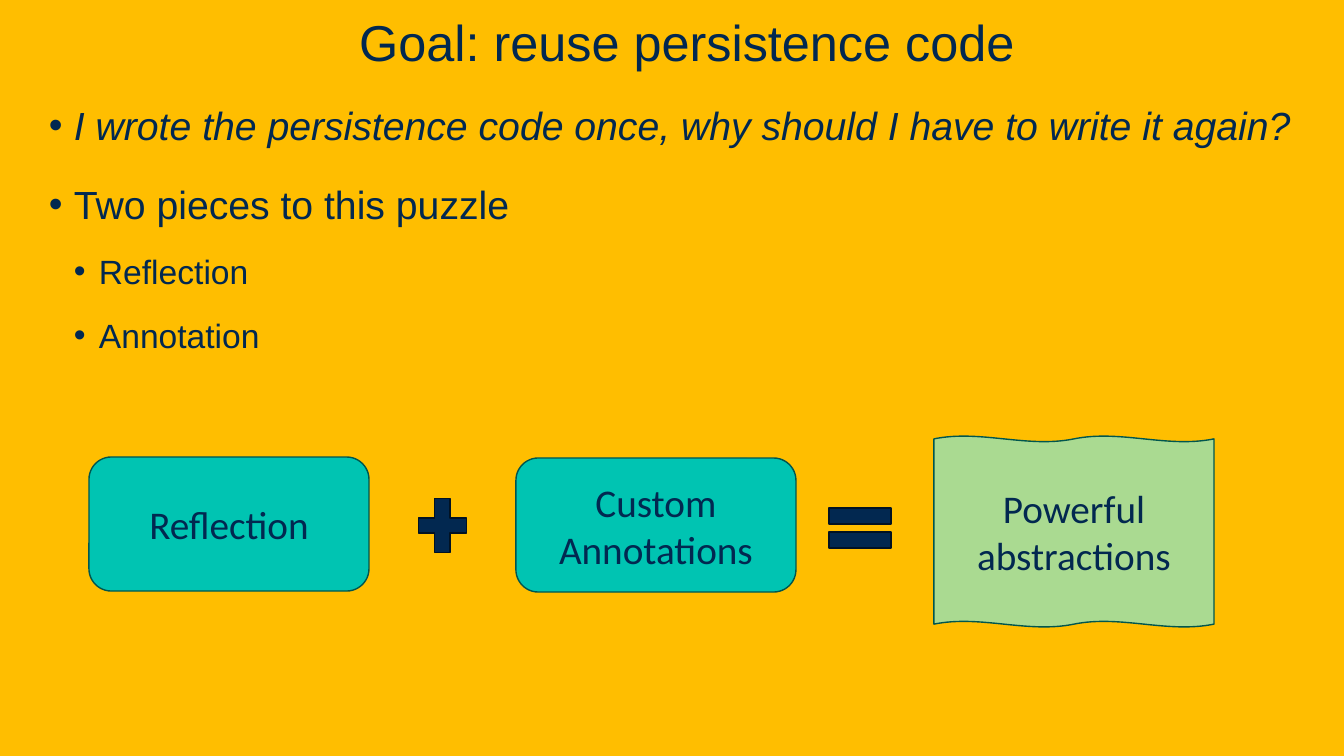
from lxml.etree import SubElement
from pptx import Presentation
from pptx.dml.color import RGBColor
from pptx.enum.shapes import MSO_SHAPE as Kind
from pptx.enum.text import MSO_ANCHOR as Anchor, MSO_AUTO_SIZE as Fit, PP_ALIGN as Align
from pptx.oxml.ns import qn
from pptx.util import Emu, Pt

SCALE = 914400 / 100.8
GOLD, NAVY, INK = "FFBE00", "022850", "011223"
TEAL, PINE, LIME = "00C4B2", "00564E", "AADA91"


def px(n):
    return Emu(round(n * SCALE))


def color(code):
    return RGBColor.from_string(code)


def place(shape, left, top, width, height):
    shape.left, shape.top = px(left), px(top)
    shape.width, shape.height = px(width), px(height)


def add_run(para, text, size, font="Arial", slant=False):
    run = para.add_run()
    run.text = text
    run.font.size = Pt(size)
    run.font.name = font
    run.font.italic = slant
    run.font.bold = False
    run.font.color.rgb = color(NAVY)


def indent(para, left, hang=0):
    props = para._p.get_or_add_pPr()
    props.set("marL", str(px(left)))
    props.set("indent", str(px(-hang)))
    return props


def add_title(slide, text):
    title = slide.shapes.title
    place(title, 0, 0, 1344, 77)
    frame = title.text_frame
    frame.auto_size = Fit.NONE
    frame.vertical_anchor = Anchor.BOTTOM
    para = frame.paragraphs[0]
    indent(para, 30)
    para.alignment = Align.CENTER
    add_run(para, text, 36)


def add_list(slide, items):
    box = slide.shapes.add_textbox(0, 0, 0, 0)
    place(box, 39, 87, 1264, 576)
    frame = box.text_frame
    frame.word_wrap = True
    for i, (level, text, slant) in enumerate(items):
        para = frame.paragraphs[0] if i == 0 else frame.add_paragraph()
        para.level = level
        props = indent(para, 25 * (level + 1), 25)
        SubElement(props, qn("a:buFont")).set("typeface", "Arial")
        SubElement(props, qn("a:buChar")).set("char", "•")
        para.line_spacing = 1.2
        if i:
            para.space_before = Pt(5 if level else 10)
        para.space_after = Pt(6)
        add_run(para, text, 24 if level else 28, slant=slant)


def add_part(slide, kind, spot, fill, edge, text=""):
    part = slide.shapes.add_shape(kind, 0, 0, 0, 0)
    place(part, *spot)
    part.shadow.inherit = False
    part.fill.solid()
    part.fill.fore_color.rgb = color(fill)
    part.line.color.rgb = color(edge)
    part.line.width = Pt(1)
    if text:
        frame = part.text_frame
        frame.word_wrap = True
        frame.vertical_anchor = Anchor.MIDDLE
        para = frame.paragraphs[0]
        para.alignment = Align.CENTER
        add_run(para, text, 28, "Calibri")
    return part


def main():
    deck = Presentation()
    deck.slide_width, deck.slide_height = px(1344), px(756)
    slide = deck.slides.add_slide(deck.slide_layouts[5])
    slide.background.fill.solid()
    slide.background.fill.fore_color.rgb = color(GOLD)

    # Heading and bullets
    add_list(slide, [
        (0, "I wrote the persistence code once, why should I have to write it again?", True),
        (0, "Two pieces to this puzzle", False),
        (1, "Reflection", False),
        (1, "Annotation", False),
    ])
    add_title(slide, "Goal: reuse persistence code")

    # Sum: two pieces make the result
    add_part(slide, Kind.ROUNDED_RECTANGLE, (89, 457, 280, 134), TEAL, PINE, "Reflection")
    add_part(slide, Kind.ROUNDED_RECTANGLE, (516, 458, 280, 134), TEAL, PINE,
             "Custom Annotations")
    add_part(slide, Kind.MATH_PLUS, (410, 489, 65, 73), NAVY, INK)
    add_part(slide, Kind.MATH_EQUAL, (818, 494, 84, 68), NAVY, INK)
    wave = add_part(slide, Kind.DOUBLE_WAVE, (934, 436, 280, 191), LIME, PINE,
                    "Powerful abstractions")
    wave.adjustments[0] = 0.015
    wave.adjustments[1] = 0

    deck.save("out.pptx")


if __name__ == "__main__":
    main()
